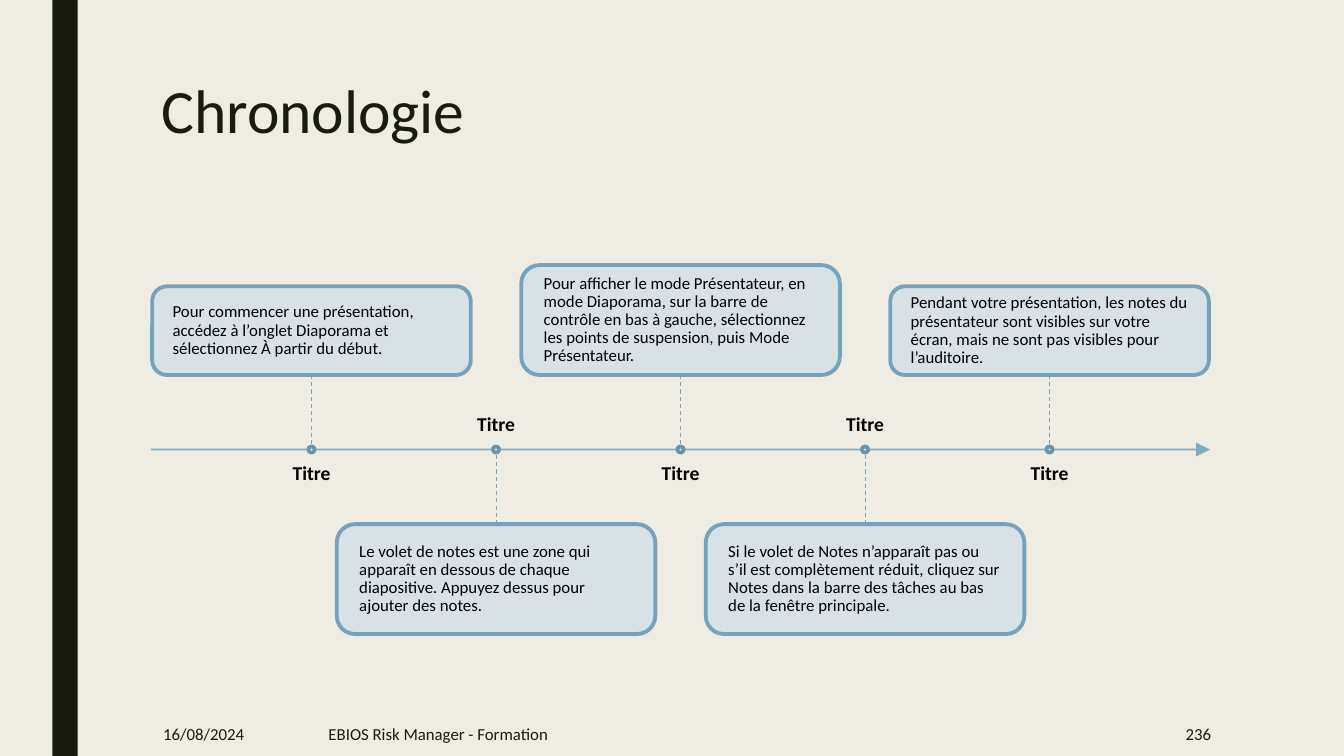
from lxml import etree
from pptx import Presentation
from pptx.dml.color import RGBColor
from pptx.enum.dml import MSO_LINE
from pptx.enum.shapes import MSO_CONNECTOR as CONN, MSO_SHAPE as SHAPE
from pptx.enum.text import MSO_ANCHOR as ANCHOR, PP_ALIGN as ALIGN
from pptx.oxml.ns import qn
from pptx.util import Inches, Pt

FONT = "Calibri"
BACKGROUND = RGBColor(0xEF, 0xED, 0xE3)
DARK = RGBColor(0x19, 0x1B, 0x0E)
BLACK = RGBColor(0, 0, 0)
WHITE = RGBColor(0xFF, 0xFF, 0xFF)
BLUE = RGBColor(0x77, 0xA2, 0xBB)
DOT_BLUE = RGBColor(0x6C, 0x93, 0xAA)
CARD_FILL = RGBColor(0xD6, 0xE0, 0xE7)

CARD_W = 3.16
STEP = 1.83
GAP = 0.74
LABEL_W, LABEL_H, LABEL_GAP = 2.78, 0.44, 0.14
DOT = 0.06
EVENTS = [
    ("Titre", 0.88, "Pour commencer une présentation, accédez à l’onglet Diaporama et "
     "sélectionnez À partir du début."),
    ("Titre", 1.09, "Le volet de notes est une zone qui apparaît en dessous de chaque "
     "diapositive. Appuyez dessus pour ajouter des notes."),
    ("Titre", 1.09, "Pour afficher le mode Présentateur, en mode Diaporama, sur la barre de "
     "contrôle en bas à gauche, sélectionnez les points de suspension, puis Mode Présentateur."),
    ("Titre", 1.09, "Si le volet de Notes n’apparaît pas ou s’il est complètement réduit, "
     "cliquez sur Notes dans la barre des tâches au bas de la fenêtre principale."),
    ("Titre", 0.88, "Pendant votre présentation, les notes du présentateur sont visibles sur "
     "votre écran, mais ne sont pas visibles pour l’auditoire."),
]


def write(sp, text, size, color, align=ALIGN.LEFT, anchor=ANCHOR.MIDDLE,
          inset=(0.1, 0.05), spacing=1.0, bold=False):
    tf = sp.text_frame
    tf.word_wrap = True
    tf.vertical_anchor = anchor
    tf.margin_left = tf.margin_right = Inches(inset[0])
    tf.margin_top = tf.margin_bottom = Inches(inset[1])
    p = tf.paragraphs[0]
    p.text = text
    p.alignment = align
    p.line_spacing = spacing
    p.font.name = FONT
    p.font.size = Pt(size)
    p.font.bold = bold
    p.font.color.rgb = color


def add_box(s, kind, box, fill, line=None):
    sp = s.shapes.add_shape(kind, *map(Inches, box))
    sp.shadow.inherit = False
    sp.fill.solid()
    sp.fill.fore_color.rgb = fill
    if line is None:
        sp.line.fill.background()
    else:
        sp.line.color.rgb = line
        sp.line.width = Pt(2.75)
    return sp


def add_line(s, x1, y1, x2, y2, width):
    cx = s.shapes.add_connector(CONN.STRAIGHT, *map(Inches, (x1, y1, x2, y2)))
    cx.line.color.rgb = BLUE
    cx.line.width = Pt(width)
    etree.SubElement(cx._element.spPr, qn("a:effectLst"))
    return cx


def set_alpha(element, percent):
    color = next(element.iter(qn("a:srgbClr")))
    etree.SubElement(color, qn("a:alpha"), val=str(percent * 1000))


def add_title(s, text, left, top, width, height):
    sp = s.shapes.title
    sp.left, sp.top, sp.width, sp.height = map(Inches, (left, top, width, height))
    write(sp, text, 44, DARK, anchor=ANCHOR.TOP, spacing=0.89)


def add_event(s, event, x, y, above):
    title, height, text = event
    side = -1 if above else 1
    edge = y + side * GAP
    card_top = edge - height if above else edge
    card = add_box(s, SHAPE.ROUNDED_RECTANGLE,
                   (x - CARD_W / 2, card_top, CARD_W, height), CARD_FILL, BLUE)
    set_alpha(card.fill._xPr.find(qn("a:solidFill")), 90)
    write(card, text, 12, BLACK, inset=(0.16 if height < 1 else 0.17, 0.05), spacing=0.9)
    add_line(s, x, edge, x, y, 0.75).line.dash_style = MSO_LINE.DASH
    add_box(s, SHAPE.OVAL, (x - DOT / 2, y - DOT / 2, DOT, DOT), WHITE, DOT_BLUE)
    label_top = y + LABEL_GAP if above else y - LABEL_GAP - LABEL_H
    label = s.shapes.add_textbox(*map(Inches, (x - LABEL_W / 2, label_top, LABEL_W, LABEL_H)))
    write(label, title, 14, BLACK, ALIGN.CENTER, ANCHOR.TOP if above else ANCHOR.BOTTOM,
          (0, 0), 0.9, True)


def add_timeline(s, left, y, width):
    axis = add_line(s, left, y, left + width, y, 1.25)
    ln = axis.line._get_or_add_ln()
    set_alpha(ln, 90)
    etree.SubElement(ln, qn("a:tailEnd"), type="triangle", w="lg", len="lg")
    for i, event in enumerate(EVENTS):
        add_event(s, event, left + 1.59 + i * STEP, y, i % 2 == 0)


def add_footer(s, top, height):
    for text, left, width, align in (
        ("16/08/2024", 1.52, 1.32, ALIGN.LEFT),
        ("EBIOS Risk Manager - Formation", 3.16, 6.87, ALIGN.LEFT),
        ("236", 10.36, 1.75, ALIGN.RIGHT),
    ):
        sp = s.shapes.add_textbox(*map(Inches, (left, top, width, height)))
        write(sp, text, 12, DARK, align)


def main():
    prs = Presentation()
    prs.slide_width, prs.slide_height = Inches(13.33), Inches(7.5)
    s = prs.slides.add_slide(prs.slide_layouts[5])
    s.background.fill.solid()
    s.background.fill.fore_color.rgb = BACKGROUND
    add_box(s, SHAPE.RECTANGLE, (0.52, 0, 0.25, 7.5), DARK)
    add_title(s, "Chronologie", 1.5, 0.75, 10.5, 1.62)
    add_timeline(s, 1.5, 4.46, 10.5)
    add_footer(s, 7.06, 0.44)
    prs.save("out.pptx")


if __name__ == "__main__":
    main()
